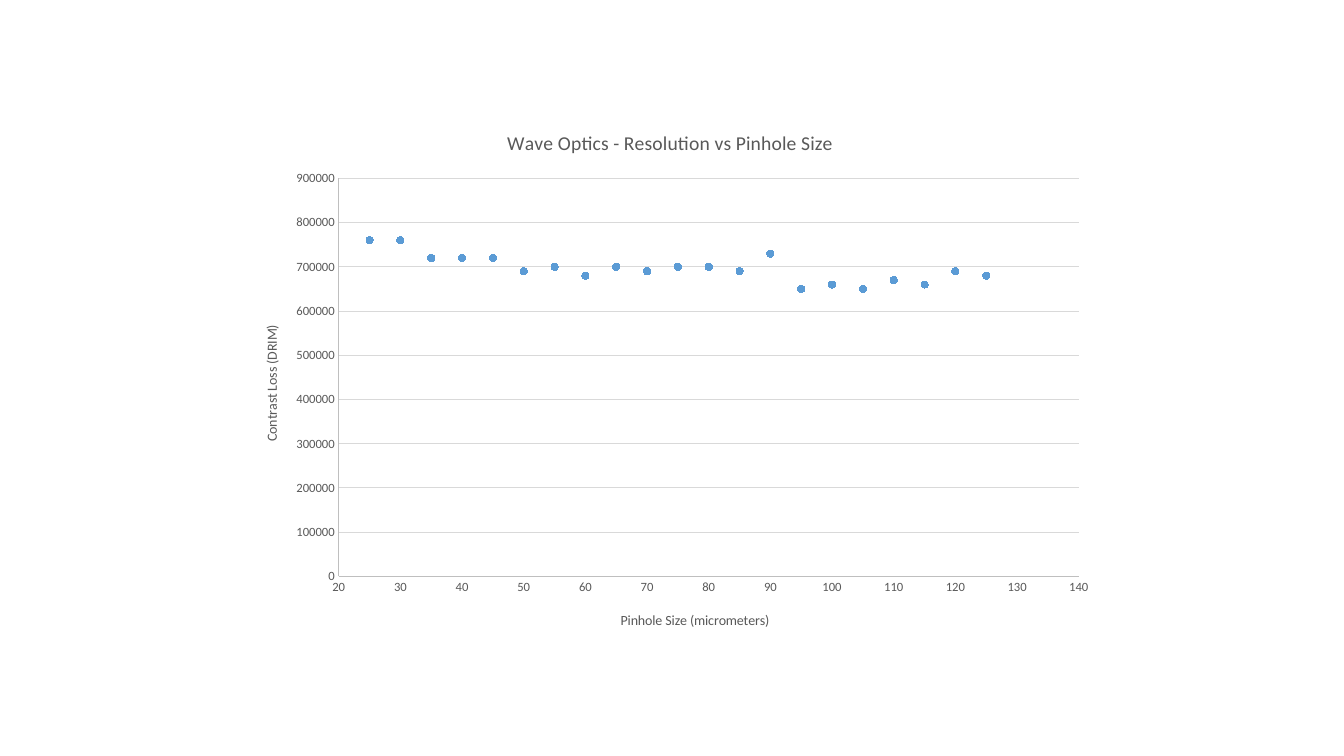
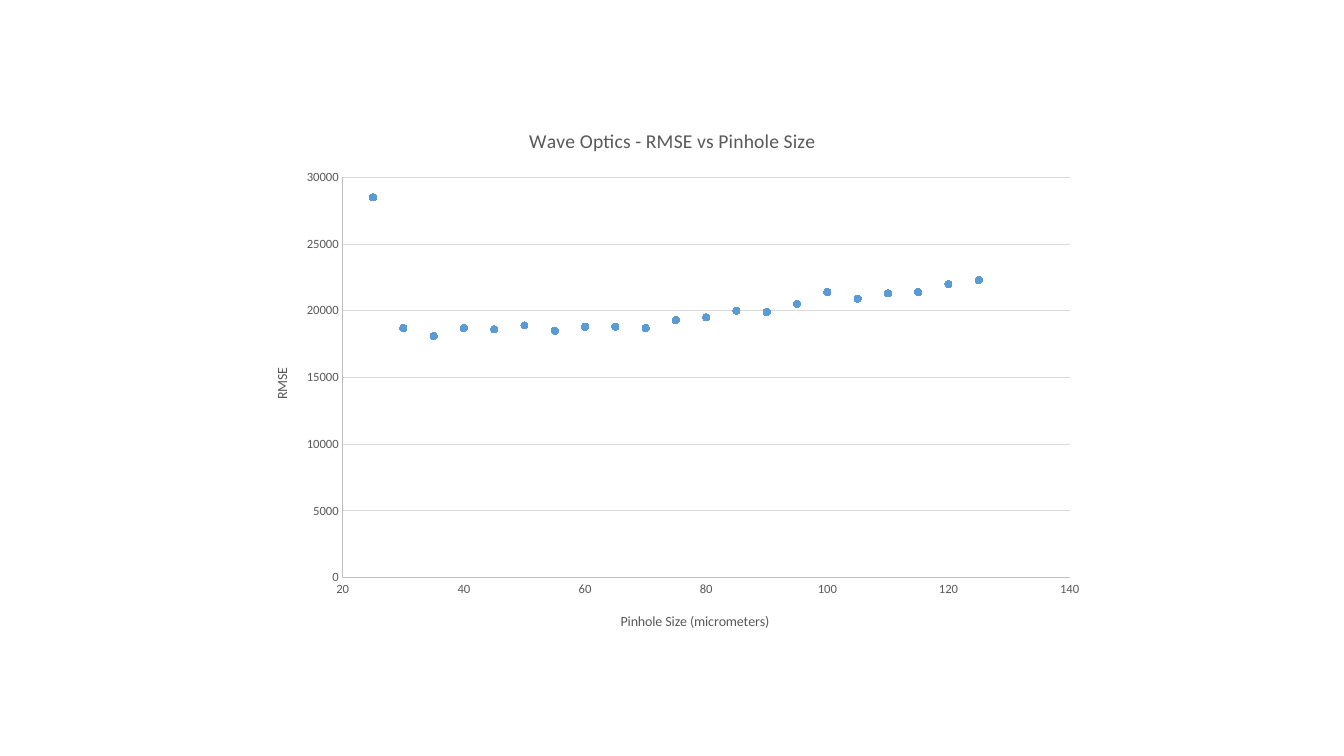
from lxml import etree
from pptx import Presentation
from pptx.chart.data import XyChartData
from pptx.dml.color import RGBColor
from pptx.enum.chart import XL_CHART_TYPE, XL_MARKER_STYLE, XL_TICK_MARK
from pptx.oxml.ns import qn
from pptx.util import Inches, Pt

# Shared style
FONT = "Calibri"
TEXT = RGBColor(0x59, 0x59, 0x59)
AXIS = RGBColor(0xBF, 0xBF, 0xBF)
GRID = RGBColor(0xD9, 0xD9, 0xD9)
DOT = RGBColor(0x5B, 0x9B, 0xD5)

X_TITLE = "Pinhole Size (micrometers)"
PINHOLES = range(25, 130, 5)

# Chart contents; boxes are left, top, width, height in inches,
# and the plot and axis titles are placed relative to the chart box
RESOLUTION = dict(
    title="Wave Optics - Resolution vs Pinhole Size ",
    y_title="Contrast Loss (DRIM)",
    box=(2.36, 1.09, 8.62, 5.33),
    plot=(1.0, 0.68, 7.34, 3.95),
    x_title_at=(3.77, 4.95), y_title_at=(0.22, 2.11),
    x_scale=(20, 140, 10), y_scale=(0, 900000, 100000),
    values=[760000, 760000, 720000, 720000, 720000, 690000, 700000,
            680000, 700000, 690000, 700000, 700000, 690000, 730000,
            650000, 660000, 650000, 670000, 660000, 690000, 680000],
)
RMSE = dict(
    title="Wave Optics - RMSE vs Pinhole Size",
    y_title="RMSE",
    box=(2.46, 1.07, 8.42, 5.35),
    plot=(0.94, 0.69, 7.21, 3.97),
    x_title_at=(3.67, 4.98), y_title_at=(0.22, 2.55),
    x_scale=(20, 140, 20), y_scale=(0, 30000, 5000),
    values=[28500, 18700, 18100, 18700, 18600, 18900, 18500,
            18800, 18800, 18700, 19300, 19500, 20000, 19900,
            20500, 21400, 20900, 21300, 21400, 22000, 22300],
)


def style_font(font, size):
    font.name = FONT
    font.size = Pt(size)
    font.bold = False
    font.color.rgb = TEXT


def style_line(line, color):
    line.color.rgb = color
    line.width = Pt(0.75)


def add_title_text(title, text, size):
    p = title.text_frame.paragraphs[0]
    r = p.add_run()
    r.text = text
    style_font(r.font, size)


def set_layout(parent, index, box, offsets, inner=False):
    """Place a chart part by inches from the chart's top left corner."""
    old = parent.find(qn("c:layout"))
    if old is not None:
        parent.remove(old)
    layout = etree.Element(qn("c:layout"))
    manual = etree.SubElement(layout, qn("c:manualLayout"))
    settings = [("layoutTarget", "inner")] if inner else []
    settings += [("xMode", "edge"), ("yMode", "edge")]
    sizes = (box[2], box[3]) * 2
    settings += [(name, f"{offset / size:.4f}")
                 for name, offset, size in zip("xywh", offsets, sizes)]
    for name, value in settings:
        etree.SubElement(manual, qn(f"c:{name}")).set("val", value)
    parent.insert(index, layout)


def format_axis(axis, text, scale, box, title_at):
    axis.minimum_scale, axis.maximum_scale, axis.major_unit = scale
    axis.major_tick_mark = axis.minor_tick_mark = XL_TICK_MARK.NONE
    axis.has_major_gridlines = False
    style_font(axis.tick_labels.font, 9)
    axis.tick_labels.number_format = "General"
    axis.tick_labels.number_format_is_linked = False
    style_line(axis.format.line, AXIS)
    add_title_text(axis.axis_title, text, 10)
    set_layout(axis.axis_title._element, 1, box, title_at)


def add_scatter(slide, title, y_title, box, plot, x_title_at, y_title_at,
                x_scale, y_scale, values):
    data = XyChartData()
    points = data.add_series("Series 1")
    for x, y in zip(PINHOLES, values):
        points.add_data_point(x, y)
    frame = slide.shapes.add_chart(
        XL_CHART_TYPE.XY_SCATTER, *map(Inches, box), data)
    chart = frame.chart
    chart.has_legend = False
    chart.font.name = FONT
    chart.font.size = Pt(10)

    # Title and plot area
    chart.has_title = True
    add_title_text(chart.chart_title, title, 14)
    chart.chart_title.include_in_layout = False
    set_layout(chart._chartSpace.chart.plotArea, 0, box, plot, inner=True)

    # Axes
    x_axis, y_axis = chart.category_axis, chart.value_axis
    format_axis(x_axis, X_TITLE, x_scale, box, x_title_at)
    format_axis(y_axis, y_title, y_scale, box, y_title_at)
    body = y_axis.axis_title._element.find(".//" + qn("a:bodyPr"))
    body.set("rot", "-5400000")
    body.set("vert", "horz")
    y_axis.has_major_gridlines = True
    style_line(y_axis.major_gridlines.format.line, GRID)

    # Dots
    chart.plots[0].vary_by_categories = False
    series = chart.plots[0].series[0]
    series.format.line.fill.background()
    marker = series.marker
    marker.style = XL_MARKER_STYLE.CIRCLE
    marker.size = 5
    marker.format.fill.solid()
    marker.format.fill.fore_color.rgb = DOT
    style_line(marker.format.line, DOT)


def main():
    prs = Presentation()
    prs.slide_width = Inches(13.33)
    prs.slide_height = Inches(7.5)
    for content in (RESOLUTION, RMSE):
        s = prs.slides.add_slide(prs.slide_layouts[6])
        add_scatter(s, **content)
    prs.save("out.pptx")


if __name__ == "__main__":
    main()
